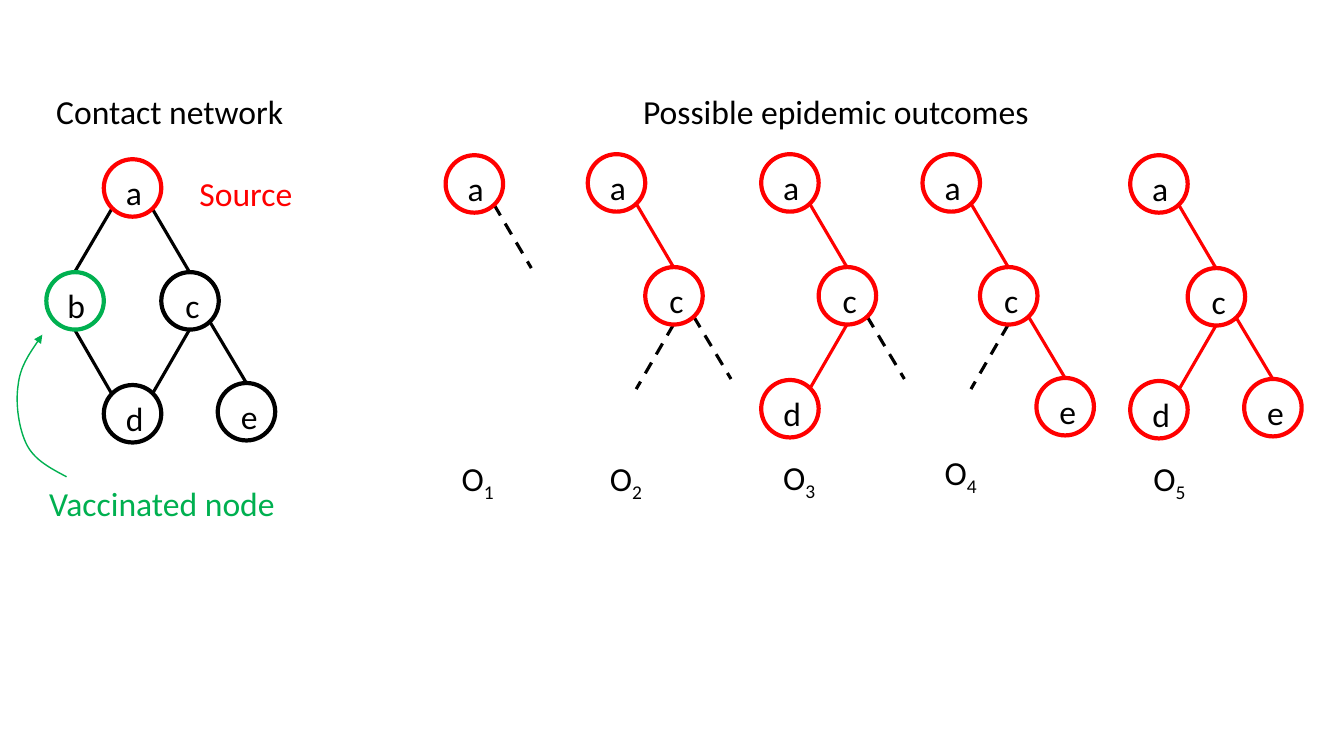
from lxml import etree
from pptx import Presentation
from pptx.dml.color import RGBColor
from pptx.enum.dml import MSO_LINE
from pptx.enum.shapes import MSO_CONNECTOR, MSO_SHAPE
from pptx.enum.text import MSO_AUTO_SIZE
from pptx.oxml.ns import qn
from pptx.util import Inches, Pt

STRAIGHT, OVAL, DASH = MSO_CONNECTOR.STRAIGHT, MSO_SHAPE.OVAL, MSO_LINE.DASH
FIT_SHAPE = MSO_AUTO_SIZE.SHAPE_TO_FIT_TEXT
BLACK, RED, GREEN = "000000", "FF0000", "00B050"
DIAMETER = 0.57

presentation = Presentation()
presentation.slide_width, presentation.slide_height = Inches(13.33), Inches(7.5)
slide = presentation.slides.add_slide(presentation.slide_layouts[6])


def add_text(text, left, top, width, color=BLACK, subscript=""):
    box = slide.shapes.add_textbox(Inches(left), Inches(top), Inches(width), Inches(0.5))
    box.text_frame.word_wrap = False
    box.text_frame.auto_size = FIT_SHAPE
    paragraph = box.text_frame.paragraphs[0]
    paragraph.font.name, paragraph.font.size = "Calibri", Pt(24)
    paragraph.font.color.rgb = RGBColor.from_string(color)
    paragraph.add_run().text = text
    if subscript:
        run = paragraph.add_run()
        run.text = subscript
        run.font._element.set("baseline", "-25000")


def style_line(shape, color, width):
    shape.line.color.rgb = RGBColor.from_string(color)
    shape.line.width = Pt(width)


# Layout shared by all graphs, measured from the corner of node a
node_offsets = {"a": (0, 0), "b": (-0.57, 1.12), "c": (0.57, 1.12),
                "d": (0, 2.24), "e": (1.13, 2.22)}
# Label inset and width for each letter
labels = {"a": (0.12, 0.36), "b": (0.11, 0.38), "c": (0.14, 0.34),
          "d": (0.12, 0.38), "e": (0.13, 0.37)}
edge_offsets = {"ab": (0.08, 0.49, -0.29, 1.12), "ac": (0.48, 0.49, 0.85, 1.12),
                "bd": (-0.29, 1.69, 0.08, 2.33), "cd": (0.85, 1.69, 0.48, 2.33),
                "ce": (1.05, 1.61, 1.42, 2.23)}

# Each graph: left, top, nodes, solid edges, dashed edges, edge color
graphs = [
    (1.03, 1.58, "abcde", ["ab", "ac", "bd", "cd", "ce"], [], BLACK),
    (4.42, 1.54, "a", [], ["ac"], RED),
    (5.83, 1.53, "ac", ["ac"], ["cd", "ce"], RED),
    (7.55, 1.53, "acd", ["ac", "cd"], ["ce"], RED),
    (9.15, 1.53, "ace", ["ac", "ce"], ["cd"], RED),
    (11.21, 1.54, "acde", ["ac", "cd", "ce"], [], RED),
]
network_colors = {"a": RED, "b": GREEN}

for left, top, nodes, solid, dashed, color in graphs:
    # Edges
    for edge in solid + dashed:
        x1, y1, x2, y2 = edge_offsets[edge]
        connector = slide.shapes.add_connector(
            STRAIGHT, Inches(left + x1), Inches(top + y1), Inches(left + x2), Inches(top + y2))
        style_line(connector, BLACK if edge in dashed else color, 2.25)
        if edge in dashed:
            connector.line.dash_style = DASH
        etree.SubElement(connector._element.spPr, qn("a:effectLst"))
    # Nodes with their letters
    for node in nodes:
        dx, dy = node_offsets[node]
        circle = slide.shapes.add_shape(
            OVAL, Inches(left + dx), Inches(top + dy), Inches(DIAMETER), Inches(DIAMETER))
        circle.shadow.inherit = False
        circle.fill.background()
        style_line(circle, network_colors.get(node, color) if color == BLACK else color, 3)
        inset, width = labels[node]
        add_text(node, left + dx + inset, top + dy + 0.08, width)

# Headings and notes on the network
add_text("Contact network", 0.46, 0.85, 2.47)
add_text("Possible epidemic outcomes", 6.28, 0.85, 4.06)
add_text("Source", 1.88, 1.67, 1.13, RED)
add_text("Vaccinated node", 0.39, 4.74, 2.46, GREEN)

# Outcome names
outcome_places = [(4.48, 4.49), (5.95, 4.49), (7.67, 4.48), (9.27, 4.43), (11.34, 4.49)]
for number, (left, top) in enumerate(outcome_places, start=1):
    add_text("O", left, top, 0.54, subscript=str(number))

# Curved arrow to the vaccinated node: a start, then three points per Bezier segment
curve = [(0.66, 4.73), (0.51, 4.65), (0.35, 4.57), (0.27, 4.42), (0.19, 4.27),
         (0.15, 4.01), (0.18, 3.82), (0.2, 3.64), (0.31, 3.48), (0.42, 3.32)]
builder = slide.shapes.build_freeform(*curve[0], scale=Inches(1))
builder = slide.shapes.build_freeform(
    Inches(curve[0][0]), Inches(curve[0][1]))
builder.add_line_segments([(Inches(x), Inches(y)) for x, y in curve[1:]], close=False)
arrow = builder.convert_to_shape()
arrow.shadow.inherit = False
arrow.fill.background()
style_line(arrow, GREEN, 1)
segments = arrow._element.xpath(".//a:lnTo")
for start in range(0, len(segments), 3):
    bezier = etree.Element(qn("a:cubicBezTo"))
    segments[start].addprevious(bezier)
    for segment in segments[start:start + 3]:
        bezier.append(segment[0])
        segment.getparent().remove(segment)
etree.SubElement(arrow.line._get_or_add_ln(), qn("a:tailEnd"), type="triangle")

presentation.save("out.pptx")
